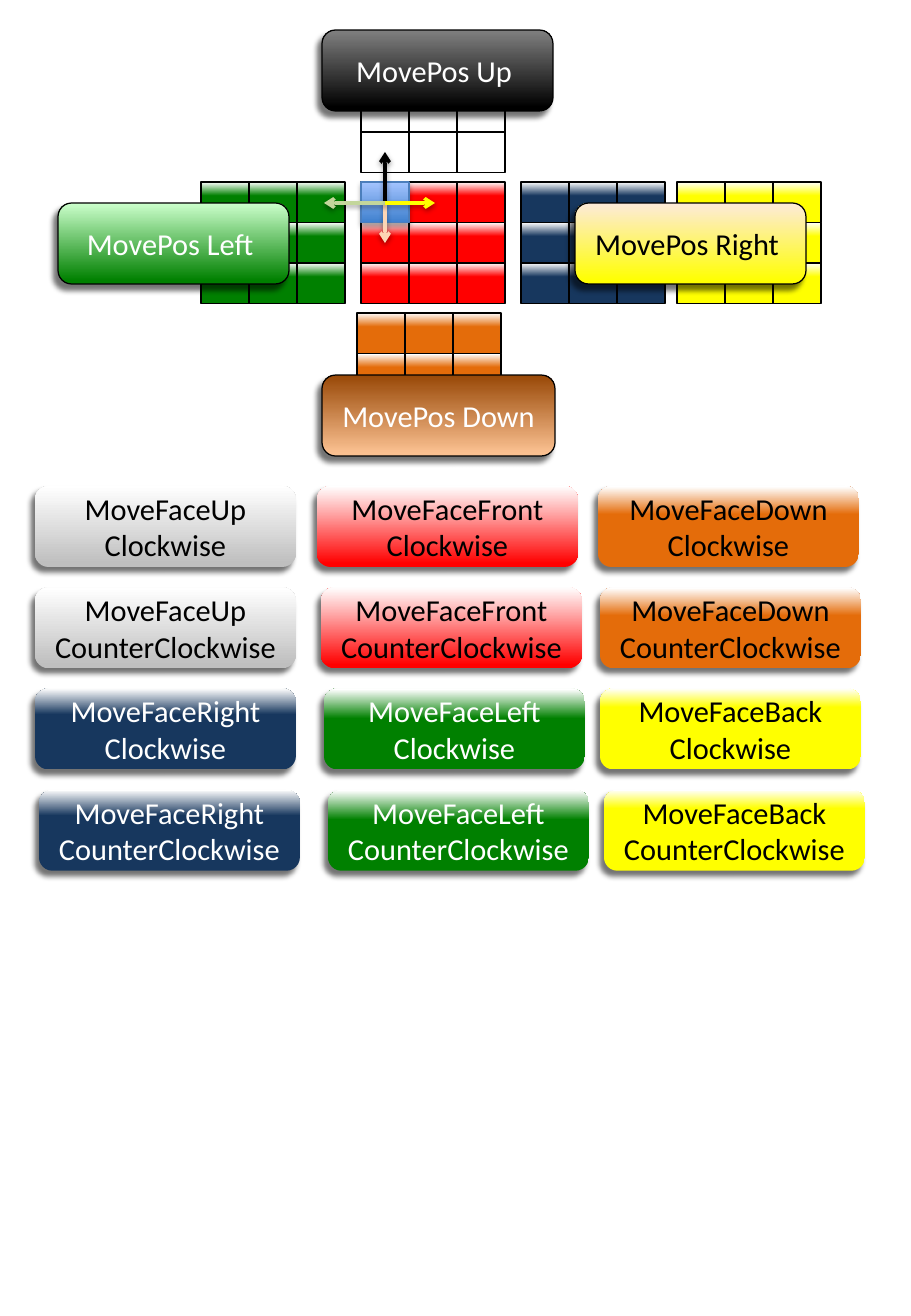
from pptx import Presentation
from pptx.dml.color import RGBColor as RGB
from pptx.enum.shapes import MSO_CONNECTOR as CONN, MSO_SHAPE as SHAPE
from pptx.enum.text import MSO_ANCHOR as ANCHOR, PP_ALIGN as ALIGN
from pptx.oxml.ns import qn
from pptx.util import Pt
from lxml.etree import SubElement

BLACK, WHITE = RGB(0, 0, 0), RGB(255, 255, 255)
RED, NAVY, GREEN = RGB(255, 0, 0), RGB(0x17, 0x37, 0x5E), RGB(0, 128, 0)
ORANGE, YELLOW = RGB(0xE4, 0x6C, 0x0A), RGB(255, 255, 0)
GRAY, SILVER = RGB(128, 128, 128), RGB(0xBF, 0xBF, 0xBF)
MINT, CREAM = RGB(0xCC, 0xFF, 0xCC), RGB(0xFD, 0xEA, 0xDA)
PEACH, BROWN = RGB(0xFA, 0xC0, 0x90), RGB(0x98, 0x48, 0x07)
SKY, BLUE, STEEL = RGB(0xA4, 0xC4, 0xFF), RGB(0x3F, 0x80, 0xCE), RGB(0x4B, 0x7E, 0xBC)
SAGE, SAND = RGB(0xC3, 0xD6, 0x9B), RGB(0xFC, 0xD5, 0xB5)

EMU_PER_PX = 914400 / 121.5
SLIDE_W, SLIDE_H = 911, 1316
CELL_W, CELL_H = 48, 40.5
BUTTON_W, FACE_BUTTON_W, BUTTON_H = 231, 261, 81
FACE_ROW_TOP, FACE_ROW_PITCH = 486, 101.25

# Shadows: opacity %, blur pt, distance pt, direction in degrees
BUTTON_SHADOW = (54, 3.2, 4, 128)
STICKER_SHADOW = (35, 3.1, 1.8, 90)
ARROW_SHADOW = (38, 3.1, 1.6, 90)

# Cube faces: left, top, colour
FACES = [(361, 182, RED), (521, 182, NAVY), (201, 182, GREEN),
         (361, 51, WHITE), (357, 313, ORANGE), (677, 182, YELLOW)]
CURSOR = (361, 182)
ARROW_START = (385, 203)
ARROW_ENDS = [((385, 152), BLACK), ((385, 243), SAND),
              ((324, 203), SAGE), ((435, 203), YELLOW)]

# Position buttons: text, left, top, width, bottom stop, top stop, font colour
POS_BUTTONS = [
    ("MovePos Left ", 58, 203, BUTTON_W, (4, GREEN), (100, MINT), WHITE),
    ("MovePos Up ", 322, 30, BUTTON_W, (4, BLACK), (100, GRAY), WHITE),
    ("MovePos Down", 322, 375, BUTTON_W + 2, (4, PEACH), (100, BROWN), WHITE),
    ("MovePos Right ", 575, 203, BUTTON_W, (3, YELLOW), (100, CREAM), BLACK),
]

# Face buttons: face, first row, lefts of both rows, bottom stop, top stop,
# font colour, separator before "CounterClockwise"
FACE_BUTTONS = [
    ("Up", 0, (35, 35), (4, SILVER), (100, WHITE), BLACK, " "),
    ("Front", 0, (317, 321), (4, RED), (100, WHITE), BLACK, "\n"),
    ("Down", 0, (598, 600), (65, ORANGE), (99, WHITE), BLACK, "\n"),
    ("Right", 2, (35, 39), (68, NAVY), (100, WHITE), WHITE, "\n"),
    ("Left", 2, (324, 328), (63, GREEN), (99, WHITE), WHITE, "\n"),
    ("Back", 2, (600, 604), (77, YELLOW), (100, WHITE), BLACK, "\n"),
]


def px(n):
    """Turn pixels into EMU."""
    return round(n * EMU_PER_PX)


def set_shadow(sp, shadow=None):
    """Give a shape or connector the shadow, or none."""
    effects = SubElement(sp._element.spPr, qn("a:effectLst"))
    if shadow:
        alpha, blur, dist, angle = shadow
        outer = SubElement(effects, qn("a:outerShdw"), blurRad=str(Pt(blur)),
                           dist=str(Pt(dist)), dir=str(angle * 60000),
                           rotWithShape="0")
        color = SubElement(outer, qn("a:srgbClr"), val=str(BLACK))
        SubElement(color, qn("a:alpha"), val=str(alpha * 1000))


def add_box(shapes, kind, box, stops, line=BLACK, shadow=None):
    """Add a shape filled from its bottom stop up to its top stop."""
    sp = shapes.add_shape(kind, *map(px, box))
    sp.fill.gradient()
    sp.fill.gradient_angle = 90
    for stop, (position, color) in zip(sp.fill.gradient_stops, stops):
        stop.position = position / 100
        stop.color.rgb = color
    if line is None:
        sp.line.fill.background()
    else:
        sp.line.color.rgb = line
        sp.line.width = Pt(0.75)
    set_shadow(sp, shadow)
    return sp


def write(sp, text, color=BLACK, size=18, font="Calibri"):
    """Write centred text, one paragraph for each line."""
    tf = sp.text_frame
    tf.word_wrap = True
    tf.vertical_anchor = ANCHOR.MIDDLE
    for i, line in enumerate(text.split("\n")):
        p = tf.add_paragraph() if i else tf.paragraphs[0]
        p.alignment = ALIGN.CENTER
        r = p.add_run()
        r.text = line
        r.font.name, r.font.size = font, Pt(size)
        r.font.color.rgb = color


def add_button(shapes, text, box, stops, color, line=None):
    """Add a rounded button with its label."""
    sp = add_box(shapes, SHAPE.ROUNDED_RECTANGLE, box, stops, line, BUTTON_SHADOW)
    write(sp, text, color=color)


def add_face(shapes, left, top, color):
    """Add a group of three by three cells."""
    group = shapes.add_group_shape()
    for i in range(9):
        row, col = divmod(i, 3)
        box = (left + col * CELL_W, top + row * CELL_H, CELL_W, CELL_H)
        sp = add_box(group.shapes, SHAPE.RECTANGLE, box, [(66, color), (100, WHITE)])
        if color == WHITE:
            sp.fill.solid()
            sp.fill.fore_color.rgb = WHITE


def add_arrow(shapes, end, color):
    """Add an arrow from the cursor cell's centre."""
    c = shapes.add_connector(CONN.STRAIGHT, *map(px, ARROW_START + end))
    c.line.color.rgb = color
    c.line.width = Pt(2)
    SubElement(c.line._get_or_add_ln(), qn("a:tailEnd"), type="arrow")
    set_shadow(c, ARROW_SHADOW)


prs = Presentation()
prs.slide_width, prs.slide_height = px(SLIDE_W), px(SLIDE_H)
s = prs.slides.add_slide(prs.slide_layouts[6])

for face in FACES:
    add_face(s.shapes, *face)

cursor = s.shapes.add_group_shape().shapes
add_box(cursor, SHAPE.RECTANGLE, CURSOR + (CELL_W, CELL_H),
        [(0, BLUE), (100, SKY)], STEEL, STICKER_SHADOW)
for end, color in ARROW_ENDS:
    add_arrow(cursor, end, color)

for text, left, top, width, low, high, color in POS_BUTTONS:
    add_button(s.shapes, text, (left, top, width, BUTTON_H), (low, high), color, BLACK)

for face, first_row, lefts, low, high, color, sep in FACE_BUTTONS:
    for i, turn in enumerate((" Clockwise", sep + "CounterClockwise")):
        top = FACE_ROW_TOP + (first_row + i) * FACE_ROW_PITCH
        add_button(s.shapes, f"MoveFace{face}{turn}",
                   (lefts[i], top, FACE_BUTTON_W, BUTTON_H), (low, high), color)

prs.save("out.pptx")
